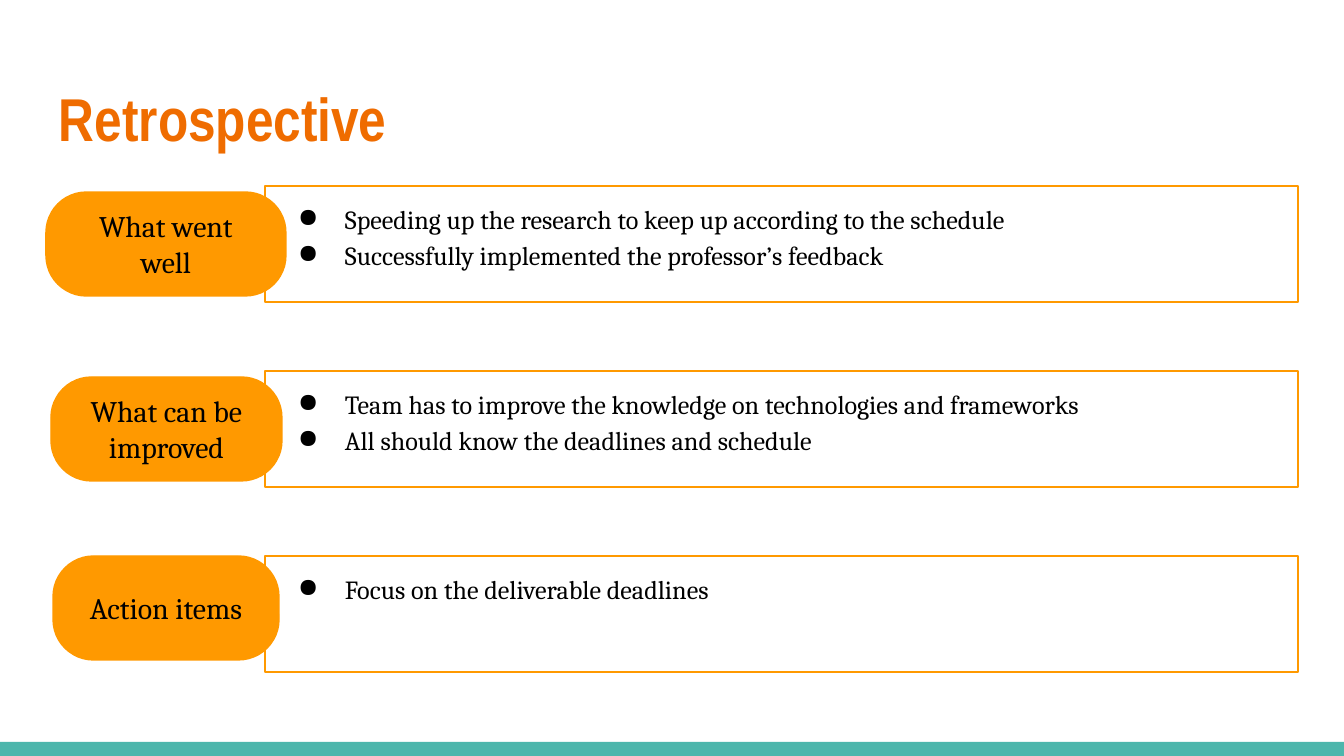
import pptx
import pptx.util
import pptx.dml.color
import pptx.enum.shapes
import pptx.enum.text
import pptx.oxml.ns
from lxml import etree
from dataclasses import dataclass

WIDTH, HEIGHT = 1344, 756
SCALE = 9144000 / WIDTH
SHAPE = pptx.enum.shapes.MSO_SHAPE
ALIGN = pptx.enum.text.PP_ALIGN
ANCHOR = pptx.enum.text.MSO_ANCHOR


@dataclass(frozen=True)
class Theme:
    title: str = "EF6C00"
    accent: str = "FF9900"
    footer: str = "4DB6AC"
    ink: str = "000000"
    head: str = "Arial Narrow"
    body: str = "Cambria"
    title_size: float = 32.4
    label_size: int = 16
    item_size: int = 14


def px(length):
    return pptx.util.Emu(round(length * SCALE))


def color(value):
    return pptx.dml.color.RGBColor.from_string(value)


def add_bullet(para, tint):
    props = para._p.get_or_add_pPr()
    props.set("marL", str(px(67)))
    props.set("indent", str(-px(47)))
    paint = etree.SubElement(props, pptx.oxml.ns.qn("a:buClr"))
    etree.SubElement(paint, pptx.oxml.ns.qn("a:srgbClr"), val=tint)
    etree.SubElement(props, pptx.oxml.ns.qn("a:buChar"), char="●")


def write(shape, lines, *, font, size, tint, bold=False, align=ALIGN.LEFT,
          anchor=ANCHOR.TOP, spacing=None, bullet=False):
    frame = shape.text_frame
    frame.word_wrap = True
    frame.vertical_anchor = anchor
    frame.margin_left = frame.margin_right = px(13)
    frame.margin_top = frame.margin_bottom = px(13)
    for index, line in enumerate(lines):
        para = frame.paragraphs[0] if index == 0 else frame.add_paragraph()
        para.alignment = align
        if spacing:
            para.line_spacing = spacing
        if bullet:
            add_bullet(para, tint)
        run = para.add_run()
        run.text = line
        run.font.name = font
        run.font.size = pptx.util.Pt(size)
        run.font.bold = bold
        run.font.color.rgb = color(tint)


class Deck:
    def __init__(self, theme):
        self.theme = theme
        self.file = pptx.Presentation()
        self.file.slide_width, self.file.slide_height = px(WIDTH), px(HEIGHT)
        self.slide = self.file.slides.add_slide(self.file.slide_layouts[6])

    def shape(self, kind, box, fill=None, line=None):
        item = self.slide.shapes.add_shape(kind, *map(px, box))
        item.shadow.inherit = False
        if fill:
            item.fill.solid()
            item.fill.fore_color.rgb = color(fill)
        else:
            item.fill.background()
        if line:
            item.line.color.rgb = color(line)
            item.line.width = pptx.util.Pt(0.75)
        else:
            item.line.fill.background()
        return item

    def title(self, text, box):
        item = self.slide.shapes.add_textbox(*map(px, box))
        write(item, [text], font=self.theme.head, size=self.theme.title_size,
              tint=self.theme.title, bold=True, anchor=ANCHOR.MIDDLE)

    def panel(self, lines, box):
        item = self.shape(SHAPE.RECTANGLE, box, line=self.theme.accent)
        write(item, lines, font=self.theme.body, size=self.theme.item_size,
              tint=self.theme.ink, spacing=1.15, bullet=True)

    def label(self, text, box):
        item = self.shape(SHAPE.ROUNDED_RECTANGLE, box,
                          fill=self.theme.accent, line=self.theme.accent)
        item.adjustments[0] = 0.39
        write(item, [text], font=self.theme.body, size=self.theme.label_size,
              tint=self.theme.ink, align=ALIGN.CENTER, anchor=ANCHOR.MIDDLE)


def main():
    deck = Deck(Theme())

    # Footer band and title
    deck.shape(SHAPE.RECTANGLE, (0, 742, WIDTH, 14), fill=deck.theme.footer)
    deck.title("Retrospective", (46, 66, 1252, 103))

    # Label, label width, label drop below the panel top, points
    rows = [
        ("What went well", 240, 6,
         ["Speeding up the research to keep up according to the schedule",
          "Successfully implemented the professor’s feedback"]),
        ("What can be improved", 231, 6,
         ["Team has to improve the knowledge on technologies and frameworks",
          "All should know the deadlines and schedule"]),
        ("Action items", 226, 0, ["Focus on the deliverable deadlines"]),
    ]

    # Equally spaced panels, each with a centred label on its left edge
    top, step, middle = 186, 185, 166
    for index, (name, width, drop, points) in enumerate(rows):
        y = top + index * step
        deck.panel(points, (265, y, 1033, 116))
        deck.label(name, (middle - width // 2, y + drop, width, 104))

    deck.file.save("out.pptx")


if __name__ == "__main__":
    main()
